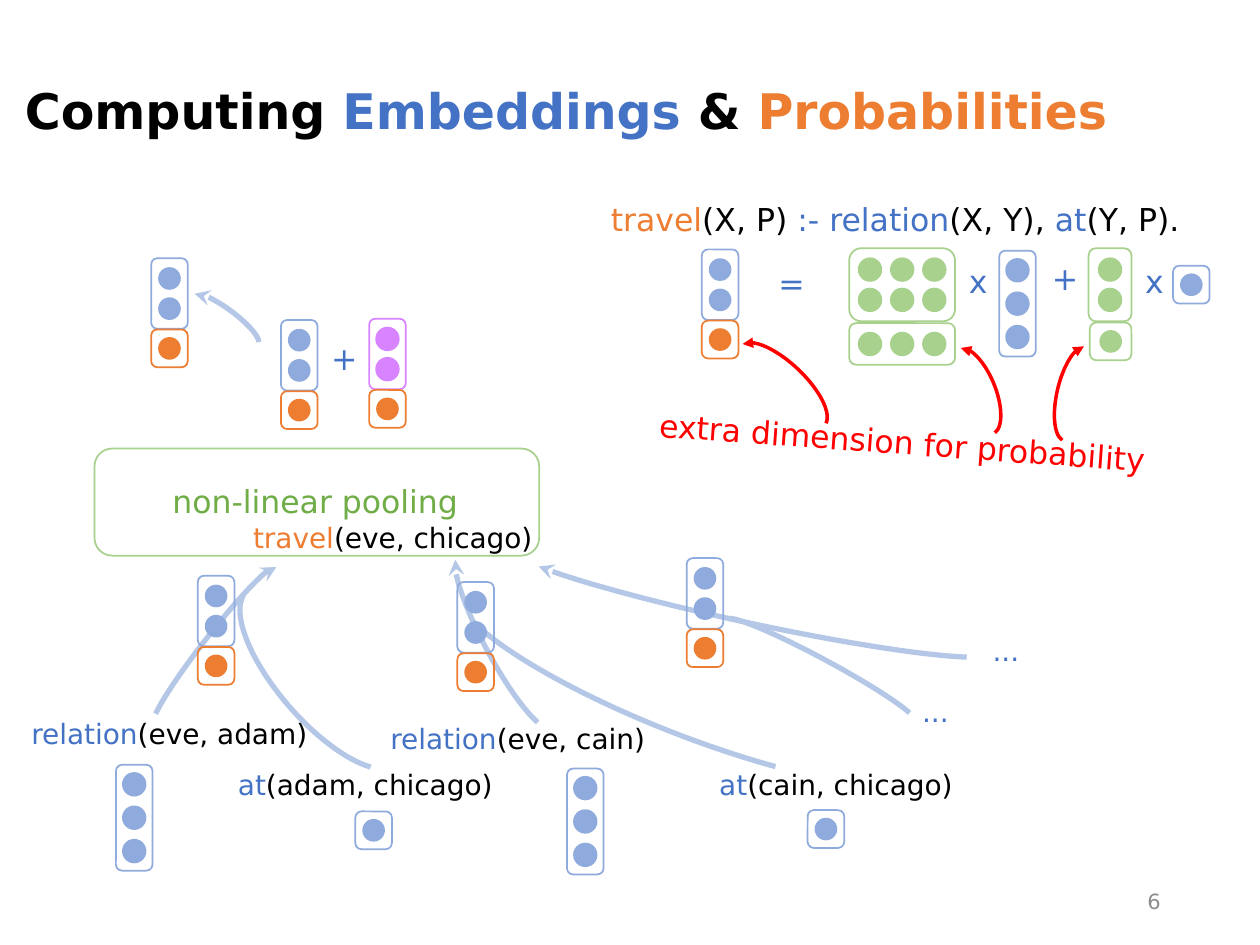
from dataclasses import dataclass

from lxml.etree import SubElement
from pptx import Presentation
from pptx.dml.color import RGBColor
from pptx.enum.shapes import MSO_SHAPE
from pptx.enum.text import MSO_ANCHOR, MSO_AUTO_SIZE, PP_ALIGN
from pptx.oxml.ns import qn
from pptx.util import Inches, Pt


@dataclass(frozen=True)
class Theme:
    font: str = "DejaVu Sans"
    black: str = "000000"
    white: str = "FFFFFF"
    blue: str = "4472C4"
    dot_blue: str = "8FAADC"
    arrow_blue: str = "B4C7E7"
    orange: str = "ED7D31"
    green: str = "70AD47"
    dot_green: str = "A9D18E"
    purple: str = "D883FF"
    red: str = "FF0000"
    grey: str = "8C8C8C"
    title: int = 28
    formula: int = 18
    label: int = 16
    number: int = 12
    outline: int = 1
    pointer: int = 2
    flow: int = 3


THEME = Theme()
COLUMNS, ROWS, CELL = 100, 75, 0.1
DOT, COLUMN_PITCH = 1.8, 2.55
ROW_PITCH = {1: 0, 2: 2.4, 3: 2.65}
VECTOR_WIDTH = 2.9
VECTOR_HEIGHT = {1: 3, 2: 5.6, 3: 8.4}


@dataclass(frozen=True)
class Box:
    left: float
    top: float
    width: float
    height: float

    def inner(self, column, row, width, height):
        return Box(self.left + column, self.top + row, width, height)

    def lengths(self):
        return [Inches(n * CELL) for n in (self.left, self.top, self.width, self.height)]


def rgb(colour):
    return RGBColor.from_string(colour)


def add_text(page, box, spans, size, wrap=False, bold=False, rotation=0):
    shape = page.shapes.add_textbox(*box.lengths())
    shape.rotation = rotation
    frame = shape.text_frame
    frame.word_wrap = wrap
    frame.auto_size = MSO_AUTO_SIZE.NONE if wrap else MSO_AUTO_SIZE.SHAPE_TO_FIT_TEXT
    if wrap:
        frame.vertical_anchor = MSO_ANCHOR.MIDDLE
    para = frame.paragraphs[0]
    for words, colour in spans:
        span = para.add_run()
        span.text = words
        span.font.name = THEME.font
        span.font.size = Pt(size)
        span.font.bold = bold
        span.font.color.rgb = rgb(colour)
    return para


def add_outline(shapes, kind, box, line=None, fill=None, weight=THEME.outline):
    shape = shapes.add_shape(kind, *box.lengths())
    shape.shadow.inherit = False
    if fill:
        shape.fill.solid()
        shape.fill.fore_color.rgb = rgb(fill)
    else:
        shape.fill.background()
    if line:
        shape.line.color.rgb = rgb(line)
        shape.line.width = Pt(weight)
    else:
        shape.line.fill.background()
    return shape


def add_matrix(page, box, rows, columns, colour, ringed=False):
    shapes = page.shapes.add_group_shape().shapes
    add_outline(shapes, MSO_SHAPE.ROUNDED_RECTANGLE, box, line=colour)
    left = (box.width - DOT - (columns - 1) * COLUMN_PITCH) / 2
    top = (box.height - DOT - (rows - 1) * ROW_PITCH[rows]) / 2
    for row in range(rows):
        for column in range(columns):
            dot = box.inner(left + column * COLUMN_PITCH, top + row * ROW_PITCH[rows], DOT, DOT)
            add_outline(shapes, MSO_SHAPE.OVAL, dot, colour if ringed else None, colour)


def add_vector(page, box, column, row, size, colour=THEME.dot_blue, ringed=False):
    place = box.inner(column, row, VECTOR_WIDTH, VECTOR_HEIGHT[size])
    add_matrix(page, place, size, 1, colour, ringed)


def add_state(page, box, column, row, colour=THEME.dot_blue):
    add_vector(page, box, column, row, 2, colour, colour == THEME.purple)
    add_vector(page, box, column, row + VECTOR_HEIGHT[2] + 0.05, 1, THEME.orange)


def add_arc(page, box, rotation, flipped, colour, weight, head=None, angles=(163.75, 52.48)):
    arc = add_outline(page.shapes, MSO_SHAPE.ARC, box, line=colour, weight=weight)
    arc.adjustments[0], arc.adjustments[1] = angles
    arc.rotation = rotation
    if flipped:
        arc.element.spPr.find(qn("a:xfrm")).set("flipH", "1")
    if head:
        SubElement(arc.element.spPr.find(qn("a:ln")), qn("a:headEnd"), type=head)


def draw_title(page, box):
    spans = [("Computing ", THEME.black), ("Embeddings ", THEME.blue),
             ("& ", THEME.black), ("Probabilities", THEME.orange)]
    add_text(page, box, spans, THEME.title, wrap=True, bold=True).line_spacing = 0.9


def draw_number(page, box):
    add_text(page, box, [("6", THEME.grey)], THEME.number, wrap=True).alignment = PP_ALIGN.RIGHT


def draw_rule(page, box):
    spans = [("travel", THEME.orange), ("(X, P) ", THEME.black), (":- relation", THEME.blue),
             ("(X, Y), ", THEME.black), ("at", THEME.blue), ("(Y, P).", THEME.black)]
    add_text(page, box.inner(0.5, 0.4, 49.6, 4), spans, THEME.formula)
    for sign, column, row, width in [("=", 13.8, 5.5, 4.1), ("x", 28.9, 5.3, 3.5),
                                     ("x", 42.9, 5.3, 3.5), ("+", 35.5, 5.1, 4.1)]:
        add_text(page, box.inner(column, row, width, 4), [(sign, THEME.blue)], THEME.formula)
    add_state(page, box, 8.7, 4.8)
    add_vector(page, box, 32.3, 4.9, 3, ringed=True)
    add_vector(page, box, 46.1, 6.1, 1)
    for place, rows, columns in [((20.4, 4.7, 8.4, 5.8), 2, 3), ((20.4, 10.65, 8.4, 3.3), 1, 3),
                                 ((39.4, 4.7, 3.4, 5.8), 2, 1), ((39.5, 10.6, 3.3, 3), 1, 1)]:
        add_matrix(page, box.inner(*place), rows, columns, THEME.dot_green, rows * columns > 1)
    note = [("extra dimension for probability", THEME.red)]
    add_text(page, box.inner(4.3, 18.1, 41.1, 4), note, THEME.formula, rotation=4.1)
    for place, rotation, flipped in [((28.9, 12.4, 3.1, 7.3), 337.9, False),
                                     ((36.9, 12.4, 2.9, 7.7), 13.2, True),
                                     ((13.3, 11, 3.6, 9.2), 313.4, False)]:
        add_arc(page, box.inner(*place), rotation, flipped, THEME.red, THEME.pointer, "triangle")


def draw_update(page, box):
    add_arc(page, box.inner(5.1, 2.1, 1.6, 6.5), 306.7, False,
            THEME.arrow_blue, THEME.flow, "stealth")
    add_state(page, box, 0, 0.5)
    add_state(page, box, 10.3, 5.4)
    add_state(page, box, 17.3, 5.3, THEME.purple)
    add_text(page, box.inner(13.3, 6.4, 4.1, 4), [("+", THEME.blue)], THEME.formula)


def draw_pooling(page, box):
    panel = add_outline(page.shapes, MSO_SHAPE.ROUNDED_RECTANGLE, box, THEME.dot_green, THEME.white)
    fill = panel.element.spPr.find(qn("a:solidFill"))
    SubElement(fill[0], qn("a:alpha"), val="80000")
    add_text(page, box.inner(5.2, 2.2, 25.1, 4),
             [("non-linear pooling", THEME.green)], THEME.formula)
    add_text(page, box.inner(11.6, 5.2, 24.5, 3.7),
             [("travel", THEME.orange), ("(eve, chicago)", THEME.black)], THEME.label)


def draw_premises(page, box):
    flows = [((15.2, 0.3, 1.7, 15.8), 38, True, "stealth", (161.87, 52.31)),
             ((21.1, 1.7, 6.9, 18.2), 319, True, None, (163.56, 46.57)),
             ((37.5, 0.1, 3.1, 15.6), 331.8, True, "stealth", (163.75, 50.45)),
             ((49.4, -8.6, 8.5, 39.3), 291.5, True, None, (165.45, 40.18)),
             ((56.9, -15, 3.5, 39.4), 282.1, True, "stealth", (163.75, 52.48)),
             ((63.3, 1.7, 1.7, 16.9), 298.3, False, None, (161.86, 52.58))]
    for place, rotation, flipped, head, angles in flows:
        add_arc(page, box.inner(*place), rotation, flipped,
                THEME.arrow_blue, THEME.flow, head, angles)
    for column, row in [(14.7, 2.7), (35.3, 3.2), (53.5, 1.3)]:
        add_state(page, box, column, row)
    for column, row, size in [(8.2, 17.7, 3), (44, 18, 3), (27.2, 21.4, 1), (63.1, 21.3, 1)]:
        add_vector(page, box, column, row, size, ringed=size == 3)
    facts = [("relation", "(eve, adam)", 0.5, 13.4, 24.5), ("at", "(adam, chicago)", 16.9, 17.4, 22.7),
             ("relation", "(eve, cain)", 29, 13.8, 22.7), ("at", "(cain, chicago)", 55.1, 17.4, 21)]
    for name, terms, column, row, width in facts:
        add_text(page, box.inner(column, row, width, 3.7),
                 [(name, THEME.blue), (terms, THEME.black)], THEME.label)
    for column, row in [(71.2, 11.6), (76.8, 6.8)]:
        add_text(page, box.inner(column, row, 4.5, 3.7), [("...", THEME.blue)], THEME.label)


def main():
    deck = Presentation()
    deck.slide_width, deck.slide_height = Inches(COLUMNS * CELL), Inches(ROWS * CELL)
    page = deck.slides.add_slide(deck.slide_layouts[6])
    draw_title(page, Box(1, 4, 98, 10))
    draw_number(page, Box(70.6, 69.5, 22.5, 4))
    draw_rule(page, Box(47, 15, 50, 23))
    draw_pooling(page, Box(7.5, 35.6, 35.3, 8.5))
    draw_update(page, Box(12, 20, 21, 14))
    draw_premises(page, Box(1, 43, 82, 27))
    deck.save("out.pptx")


if __name__ == "__main__":
    main()
